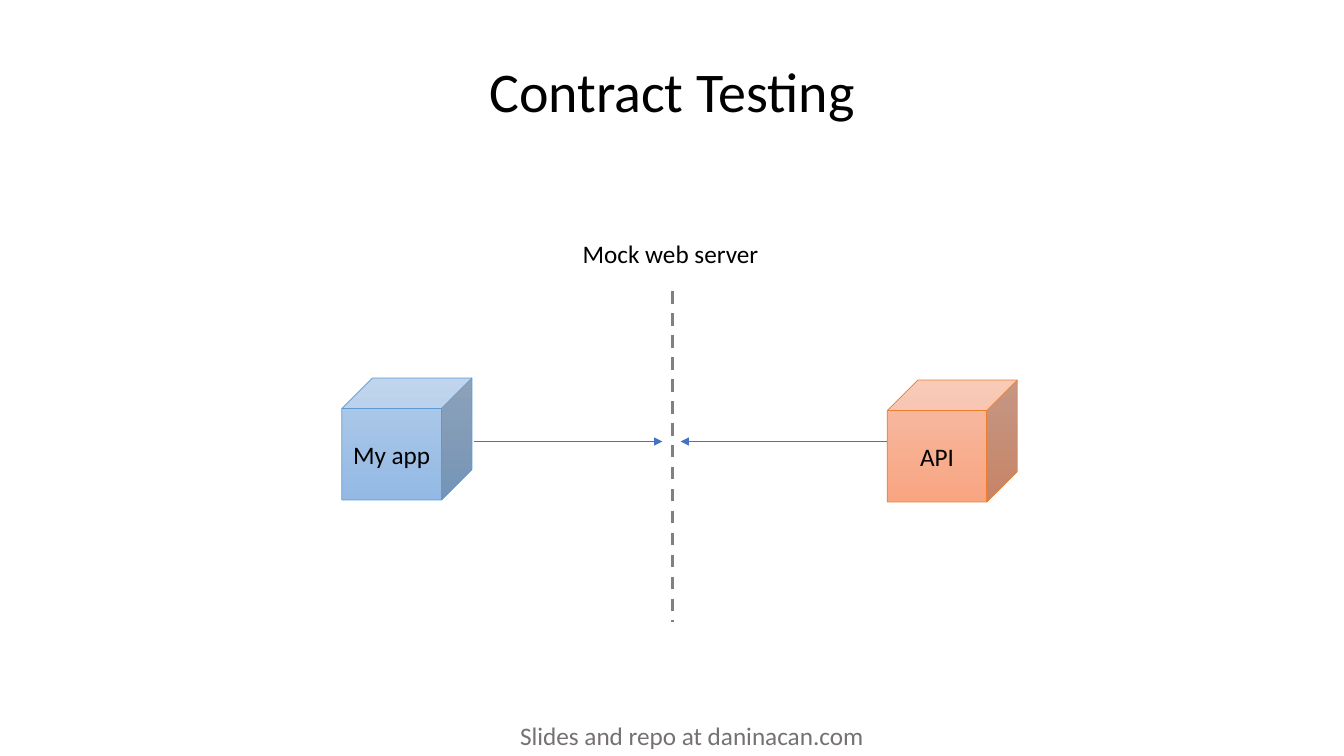
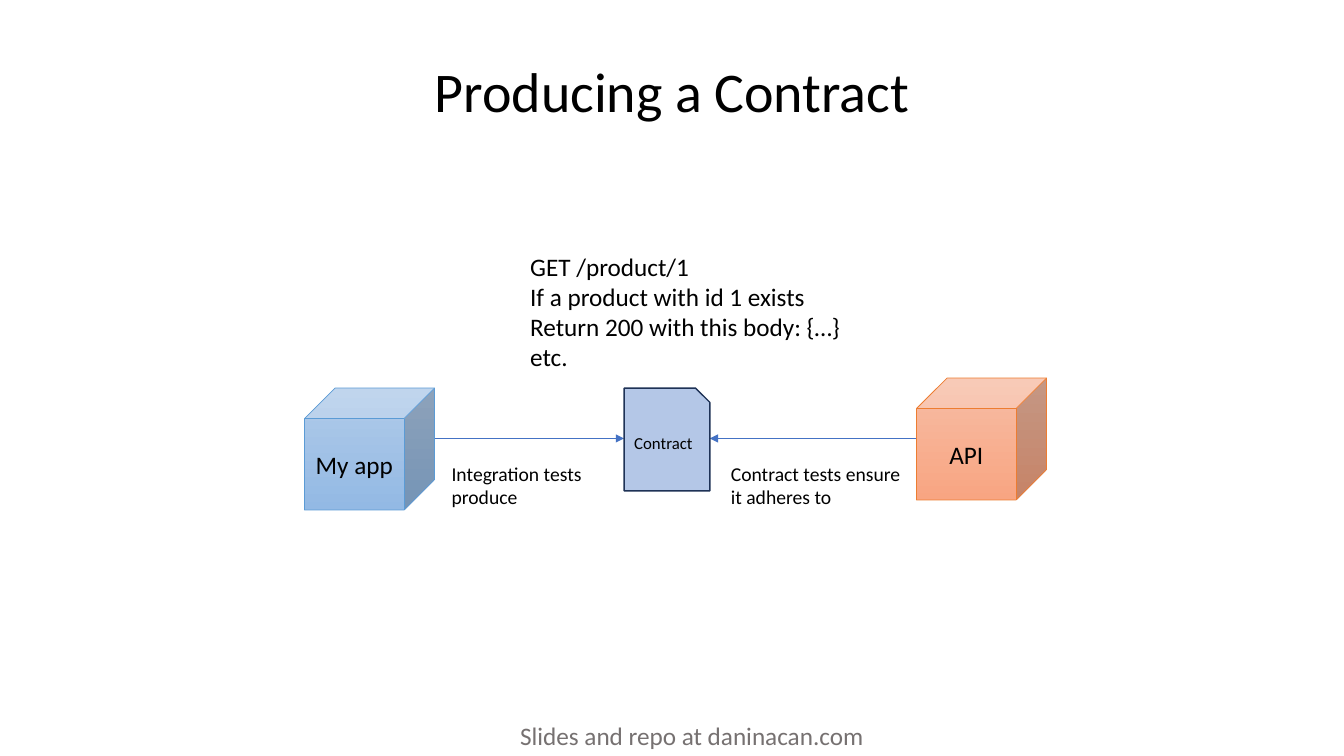
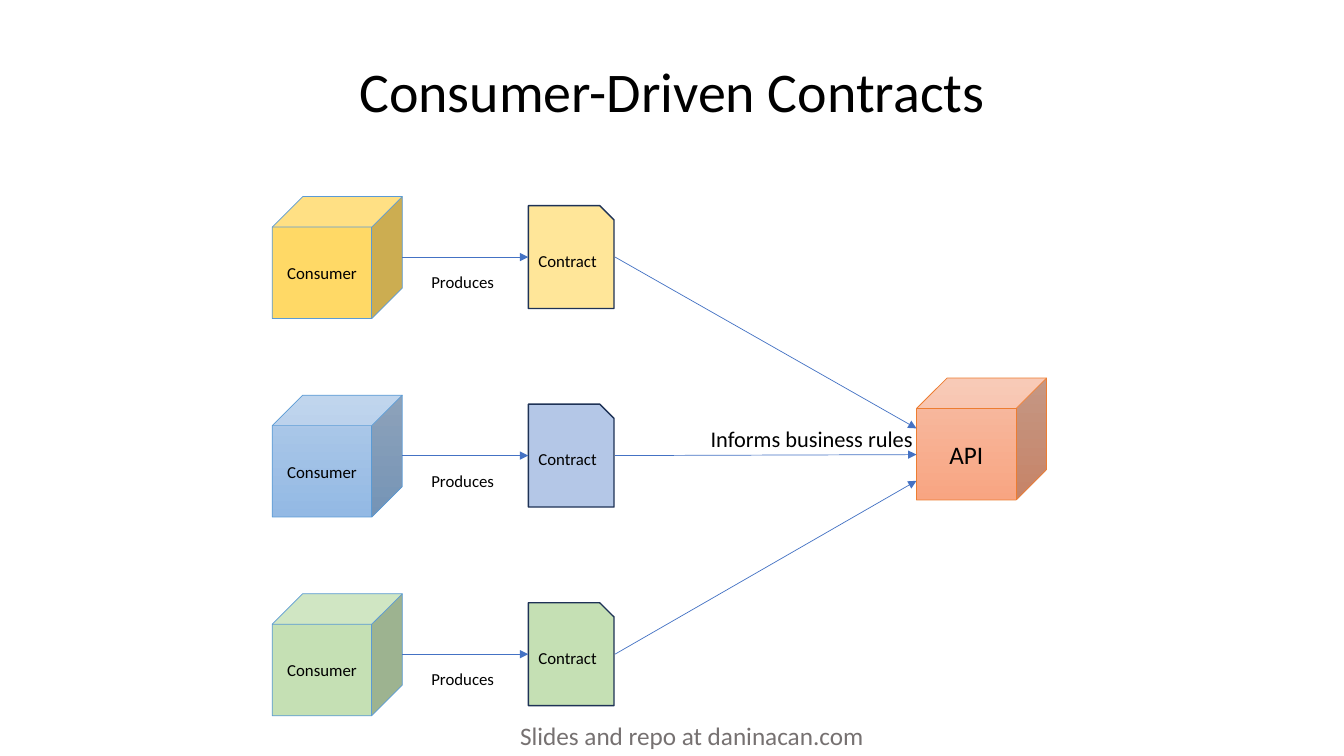
import lxml.etree
import pptx
import pptx.dml.color
import pptx.enum.dml
import pptx.enum.shapes
import pptx.enum.text
import pptx.oxml.ns
import pptx.util

RGB = pptx.dml.color.RGBColor
BLACK = RGB(0x00, 0x00, 0x00)
WHITE = RGB(0xFF, 0xFF, 0xFF)
GREY = RGB(0x76, 0x71, 0x71)
WALL = RGB(0x80, 0x80, 0x80)
NAVY = RGB(0x1E, 0x32, 0x56)
ARROW = RGB(0x44, 0x72, 0xC4)
SKY = RGB(0x5B, 0x9B, 0xD5)
RUST = RGB(0xED, 0x7D, 0x31)
BLUES = (RGB(0xB1, 0xCB, 0xE9), RGB(0x93, 0xB9, 0xE4))
CORALS = (RGB(0xF7, 0xBD, 0xA5), RGB(0xF8, 0xA5, 0x82))
GOLD = RGB(0xFF, 0xD9, 0x66)
CREAM = RGB(0xFF, 0xE6, 0x99)
GREEN = RGB(0xC5, 0xE0, 0xB4)
PALE = RGB(0xB4, 0xC7, 0xE7)

SHAPE = pptx.enum.shapes.MSO_SHAPE
ALIGN = pptx.enum.text.PP_ALIGN
MIDDLE = pptx.enum.text.MSO_ANCHOR.MIDDLE
SIZING = pptx.enum.text.MSO_AUTO_SIZE
CUBE = (1.29, 1.21)
PAGE = (0.85, 1.02)


def inches(*nums):
    return [pptx.util.Inches(num) for num in nums]


def apply(item, values):
    for name, value in values.items():
        setattr(item, name, value)


def write(frame, text, size, color=BLACK, **layout):
    """Fill a text frame; layout holds paragraph format values."""
    frame.text = text
    for para in frame.paragraphs:
        apply(para, layout)
        apply(para.font, {"name": "Calibri", "size": pptx.util.Pt(size)})
        para.font.color.rgb = color


def label(slide, text, box, size=18, color=BLACK, wrap=False):
    frame = slide.shapes.add_textbox(*inches(*box)).text_frame
    write(frame, text, size, color)
    apply(frame, {"word_wrap": wrap, "auto_size": SIZING.SHAPE_TO_FIT_TEXT})


def paint(shape, fill):
    """Fill with one colour, or from top to bottom with a pair."""
    shape.shadow.inherit = False
    if isinstance(fill, RGB):
        shape.fill.solid()
        shape.fill.fore_color.rgb = fill
        return
    shape.fill.gradient()
    shape.fill.gradient_angle = 270
    for stop, color in zip(shape.fill.gradient_stops, fill):
        stop.color.rgb = color


def block(slide, kind, text, left, top, dims, fill, edge, weight, size):
    shape = slide.shapes.add_shape(kind, *inches(left, top, *dims))
    paint(shape, fill)
    shape.line.color.rgb = edge
    shape.line.width = pptx.util.Pt(weight)
    frame = shape.text_frame
    side = pptx.util.Inches(0.05)
    apply(frame, {"vertical_anchor": MIDDLE, "margin_left": side,
                  "margin_right": side})
    write(frame, text, size, alignment=ALIGN.CENTER)


def cube(slide, text, left, top, fill=BLUES, edge=SKY, size=18):
    block(slide, SHAPE.CUBE, text, left, top, CUBE, fill, edge, 0.5, size)


def server(slide, left, top):
    cube(slide, "API", left, top, CORALS, RUST)


def contract(slide, left, top, fill=PALE):
    block(slide, SHAPE.SNIP_1_RECTANGLE, "Contract", left, top, PAGE, fill,
          NAVY, 1, 12)


def line(slide, start, end, color, weight):
    link = slide.shapes.add_connector(
        pptx.enum.shapes.MSO_CONNECTOR.STRAIGHT, *inches(*start, *end))
    link.line.color.rgb = color
    link.line.width = pptx.util.Pt(weight)
    lxml.etree.SubElement(link._element.spPr,
                          pptx.oxml.ns.qn("a:effectLst"))
    return link


def arrow(slide, start, end):
    link = line(slide, start, end, ARROW, 0.5)
    tip = lxml.etree.SubElement(link.line._get_or_add_ln(),
                                pptx.oxml.ns.qn("a:tailEnd"))
    tip.set("type", "triangle")


def start(deck, text):
    """Add a slide with the shared band, title and footer."""
    slide = deck.slides.add_slide(deck.slide_layouts[5])
    title = slide.shapes.title
    band = slide.shapes.add_shape(SHAPE.RECTANGLE, *inches(0, 0, 13.33, 1.86))
    paint(band, WHITE)
    band.line.fill.background()
    title._element.addprevious(band._element)
    box = inches(1.25, 0.3, 10.83, 1.27)
    apply(title, dict(zip(("left", "top", "width", "height"), box)))
    apply(title.text_frame, {"vertical_anchor": MIDDLE, "word_wrap": True,
                             "auto_size": SIZING.NONE})
    write(title.text_frame, text, 40, alignment=ALIGN.CENTER, line_spacing=0.9)
    label(slide, "Slides and repo at daninacan.com", (5.06, 7.1, 3.65, 0.4),
          color=GREY)
    return slide


def testing(deck):
    slide = start(deck, "Contract Testing")
    cube(slide, "My app", 3.39, 3.75)
    server(slide, 8.8, 3.77)
    wall = line(slide, (6.67, 2.89), (6.67, 6.17), WALL, 2.25)
    wall.line.dash_style = pptx.enum.dml.MSO_LINE.DASH
    arrow(slide, (4.7, 4.38), (6.57, 4.38))
    arrow(slide, (8.8, 4.38), (6.75, 4.38))
    label(slide, "Mock web server", (5.68, 2.32, 1.96, 0.4))


def produce(deck):
    slide = start(deck, "Producing a Contract")
    cube(slide, "My app", 3.02, 3.85)
    server(slide, 9.09, 3.75)
    arrow(slide, (4.31, 4.35), (6.19, 4.35))
    arrow(slide, (9.09, 4.35), (7.04, 4.35))
    contract(slide, 6.19, 3.85)
    label(slide, "GET /product/1\nIf a product with id 1 exists\n"
          "Return 200 with this body: {…}\netc.", (5.16, 2.44, 3.31, 1.31))
    label(slide, "Integration tests produce", (4.38, 4.53, 1.88, 0.57),
          14, wrap=True)
    label(slide, "Contract tests ensure it adheres to",
          (7.15, 4.53, 1.94, 0.57), 14, wrap=True)


def driven(deck):
    slide = start(deck, "Consumer-Driven Contracts")
    server(slide, 9.09, 3.75)
    fills = ((GOLD, CREAM), (BLUES, PALE), (GREEN, GREEN))
    for row, (front, sheet) in enumerate(fills):
        top = 1.95 + 1.97 * row
        mid = top + 0.6
        cube(slide, "Consumer", 2.7, top, front, size=12)
        contract(slide, 5.24, top + 0.09, sheet)
        arrow(slide, (3.99, mid), (5.24, mid))
        arrow(slide, (6.1, mid), (9.09, 4.25 + 0.26 * row))
        label(slide, "Produces", (4.18, top + 0.7, 0.83, 0.3), 12)
    label(slide, "Informs business rules", (6.95, 4.17, 2.23, 0.37), 16)


def main():
    deck = pptx.Presentation()
    deck.slide_width, deck.slide_height = inches(13.33, 7.5)
    for build in (testing, produce, driven):
        build(deck)
    deck.save("out.pptx")


if __name__ == "__main__":
    main()
